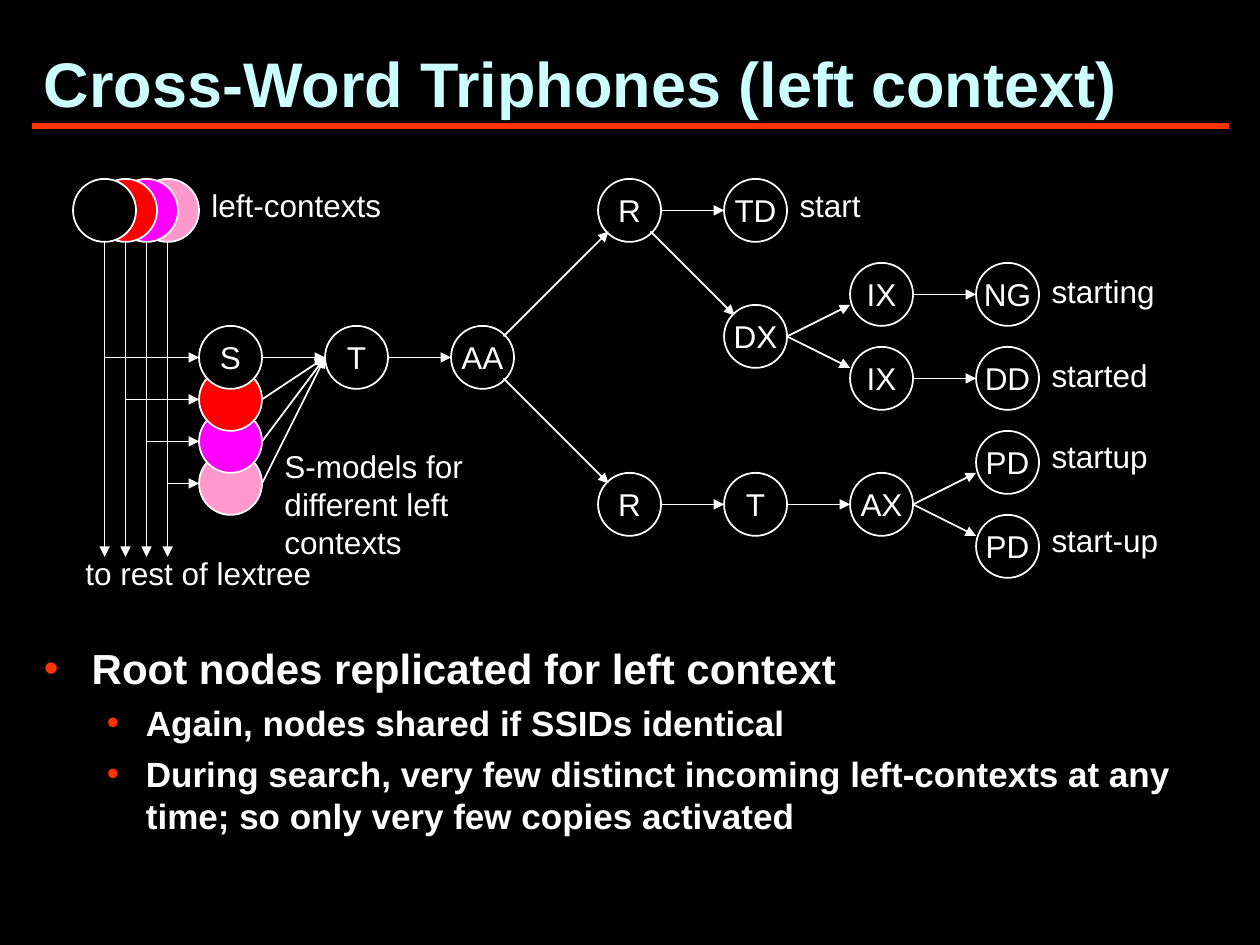
from dataclasses import dataclass

from lxml import etree
from pptx import Presentation
from pptx.dml.color import RGBColor
from pptx.enum.shapes import MSO_CONNECTOR, MSO_SHAPE
from pptx.enum.text import MSO_ANCHOR, PP_ALIGN
from pptx.oxml.ns import qn
from pptx.util import Inches, Pt

ELLIPSE = MSO_SHAPE.OVAL
STRAIGHT = MSO_CONNECTOR.STRAIGHT
TOP, MIDDLE, BOTTOM = MSO_ANCHOR.TOP, MSO_ANCHOR.MIDDLE, MSO_ANCHOR.BOTTOM
CENTER = PP_ALIGN.CENTER


@dataclass(frozen=True)
class Theme:
    font: str = "Arial"
    background: str = "000000"
    text: str = "FFFFFF"
    title: str = "CCFFFF"
    accent: str = "FF3300"
    contexts: tuple = ("000000", "FF0000", "FF00FF", "FF99CC")
    title_size: int = 36
    bullet_sizes: tuple = (24, 20)
    label_size: int = 18


@dataclass(frozen=True)
class Box:
    left: float
    top: float
    width: float
    height: float

    def lengths(self):
        return [Inches(v) for v in (self.left, self.top, self.width, self.height)]


THEME = Theme()
GRID = 1 / 12  # inches per diagram step
RADIUS = 3  # node radius in steps

# Node centres in steps from the corner of the diagram
NODES = {
    "S": ("S", 15, 17), "T": ("T", 27, 17), "AA": ("AA", 39, 17),
    "R upper": ("R", 53, 3), "TD": ("TD", 65, 3), "DX": ("DX", 65, 15),
    "IX upper": ("IX", 77, 11), "IX lower": ("IX", 77, 19),
    "NG": ("NG", 89, 11), "DD": ("DD", 89, 19),
    "R lower": ("R", 53, 31), "T lower": ("T", 65, 31), "AX": ("AX", 77, 31),
    "PD upper": ("PD", 89, 27), "PD lower": ("PD", 89, 35),
}
EDGES = [
    ("S", "T"), ("T", "AA"), ("AA", "R upper"), ("AA", "R lower"),
    ("R upper", "TD"), ("R upper", "DX"), ("DX", "IX upper"), ("DX", "IX lower"),
    ("IX upper", "NG"), ("IX lower", "DD"), ("R lower", "T lower"),
    ("T lower", "AX"), ("AX", "PD upper"), ("AX", "PD lower"),
]
# End node, word, drop below the top of the node in inches
WORDS = [
    ("TD", "start", 0.01), ("NG", "starting", 0.02), ("DD", "started", 0.02),
    ("PD upper", "startup", 0), ("PD lower", "start-up", 0),
]
BULLETS = [
    (0, "Root nodes replicated for left context"),
    (1, "Again, nodes shared if SSIDs identical"),
    (1, "During search, very few distinct incoming left-contexts at any time; "
        "so only very few copies activated"),
]


def color(value):
    return RGBColor.from_string(value)


def add_span(para, text, size, value=THEME.text, bold=False):
    span = para.add_run()
    span.text = text
    span.font.name = THEME.font
    span.font.size = Pt(size)
    span.font.bold = bold
    span.font.color.rgb = color(value)


def add_frame(page, box, anchor=TOP):
    frame = page.shapes.add_textbox(*box.lengths()).text_frame
    frame.word_wrap = True
    frame.vertical_anchor = anchor
    return frame


def add_label(page, box, text):
    add_span(add_frame(page, box).paragraphs[0], text, THEME.label_size)


def add_line(page, start, end, value, width, arrow=False):
    line = page.shapes.add_connector(STRAIGHT, *[Inches(v) for v in (*start, *end)])
    line.line.color.rgb = color(value)
    line.line.width = Pt(width)
    if arrow:
        etree.SubElement(line.line._get_or_add_ln(), qn("a:tailEnd"), type="triangle")
    etree.SubElement(line._element.spPr, qn("a:effectLst"))


def add_title(page, box):
    para = add_frame(page, box, BOTTOM).paragraphs[0]
    add_span(para, "Cross-Word Triphones (left context)",
             THEME.title_size, THEME.title, bold=True)
    bottom = box.top + box.height
    add_line(page, (box.left, bottom), (box.left + box.width, bottom), THEME.accent, 4)


def add_diagram(page, box):
    """Draw the lexical tree on a grid that starts at the corner of the box."""

    def place(x, y):
        return box.left + x * GRID, box.top + y * GRID

    def add_node(x, y, text="", fill=None):
        size = 2 * RADIUS * GRID
        node = page.shapes.add_shape(
            ELLIPSE, *Box(*place(x - RADIUS, y - RADIUS), size, size).lengths())
        node.shadow.inherit = False
        if fill:
            node.fill.solid()
            node.fill.fore_color.rgb = color(fill)
        else:
            node.fill.background()
        node.line.color.rgb = color(THEME.text)
        node.line.width = Pt(1)
        if text:
            frame = node.text_frame
            frame.word_wrap = False
            frame.vertical_anchor = MIDDLE
            frame.paragraphs[0].alignment = CENTER
            add_span(frame.paragraphs[0], text, THEME.label_size)

    def add_arrow(start, end):
        add_line(page, place(*start), place(*end), THEME.text, 1, arrow=True)

    def add_edge(source, target):
        """Steep edges join the nodes at 45 degrees, others at their sides."""
        _, x1, y1 = NODES[source]
        _, x2, y2 = NODES[target]
        turn = (y2 > y1) - (y2 < y1)
        if abs(y2 - y1) > 2 * RADIUS:
            add_arrow((x1 + 2, y1 + 2 * turn), (x2 - 2, y2 - 2 * turn))
        else:
            add_arrow((x1 + RADIUS, y1), (x2 - RADIUS, y2 - turn))

    _, root_x, root_y = NODES["S"]
    _, next_x, next_y = NODES["T"]
    contexts = [(RADIUS + 2 * i, root_y + 4 * i, fill)
                for i, fill in enumerate(THEME.contexts)]
    for x, y, fill in reversed(contexts):
        add_node(x, RADIUS, fill=fill)
        add_node(root_x, y, "S" if y == root_y else "", fill)
    for name, (text, x, y) in NODES.items():
        if name != "S":
            add_node(x, y, text)

    for x, y, _ in contexts:
        add_arrow((x, 2 * RADIUS), (x, 36))
        add_arrow((x, y), (root_x - RADIUS, y))
        if y != root_y:
            add_arrow((root_x + RADIUS, y), (next_x - RADIUS, next_y))
    for source, target in EDGES:
        add_edge(source, target)

    for name, word, drop in WORDS:
        _, x, y = NODES[name]
        left, top = place(x + RADIUS, y - RADIUS)
        add_label(page, Box(left, top + drop, 1.08, 0.4), word)
    add_label(page, Box(box.left + 1, box.top + 0.01, 1.58, 0.4), "left-contexts")
    add_label(page, Box(box.left, box.top + 2.93, 2, 0.4), "to rest of lextree")
    add_label(page, Box(box.left + 1.58, box.top + 2.08, 1.67, 1),
              "S-models for different left contexts")


def add_bullets(page, box):
    frame = add_frame(page, box)
    indents = ((0.38, -0.38), (0.81, -0.31))
    for index, (level, text) in enumerate(BULLETS):
        para = frame.add_paragraph() if index else frame.paragraphs[0]
        para.level = level
        para.space_before = Pt(6 - level)
        props = para._p.get_or_add_pPr()
        margin, hanging = indents[level]
        props.set("marL", str(Inches(margin)))
        props.set("indent", str(Inches(hanging)))
        tint = etree.SubElement(props, qn("a:buClr"))
        etree.SubElement(tint, qn("a:srgbClr"), val=THEME.accent)
        etree.SubElement(props, qn("a:buFont"), typeface=THEME.font)
        etree.SubElement(props, qn("a:buChar"), char="•")
        add_span(para, text, THEME.bullet_sizes[level], bold=True)


def main():
    deck = Presentation()
    deck.slide_width, deck.slide_height = Inches(10), Inches(7.5)
    page = deck.slides.add_slide(deck.slide_layouts[6])
    page.background.fill.solid()
    page.background.fill.fore_color.rgb = color(THEME.background)
    add_title(page, Box(0.25, 0.29, 9.5, 0.71))
    add_diagram(page, Box(0.58, 1.42, 8.75, 3.33))
    add_bullets(page, Box(0.25, 5.05, 9.5, 1.95))
    deck.save("out.pptx")


if __name__ == "__main__":
    main()
